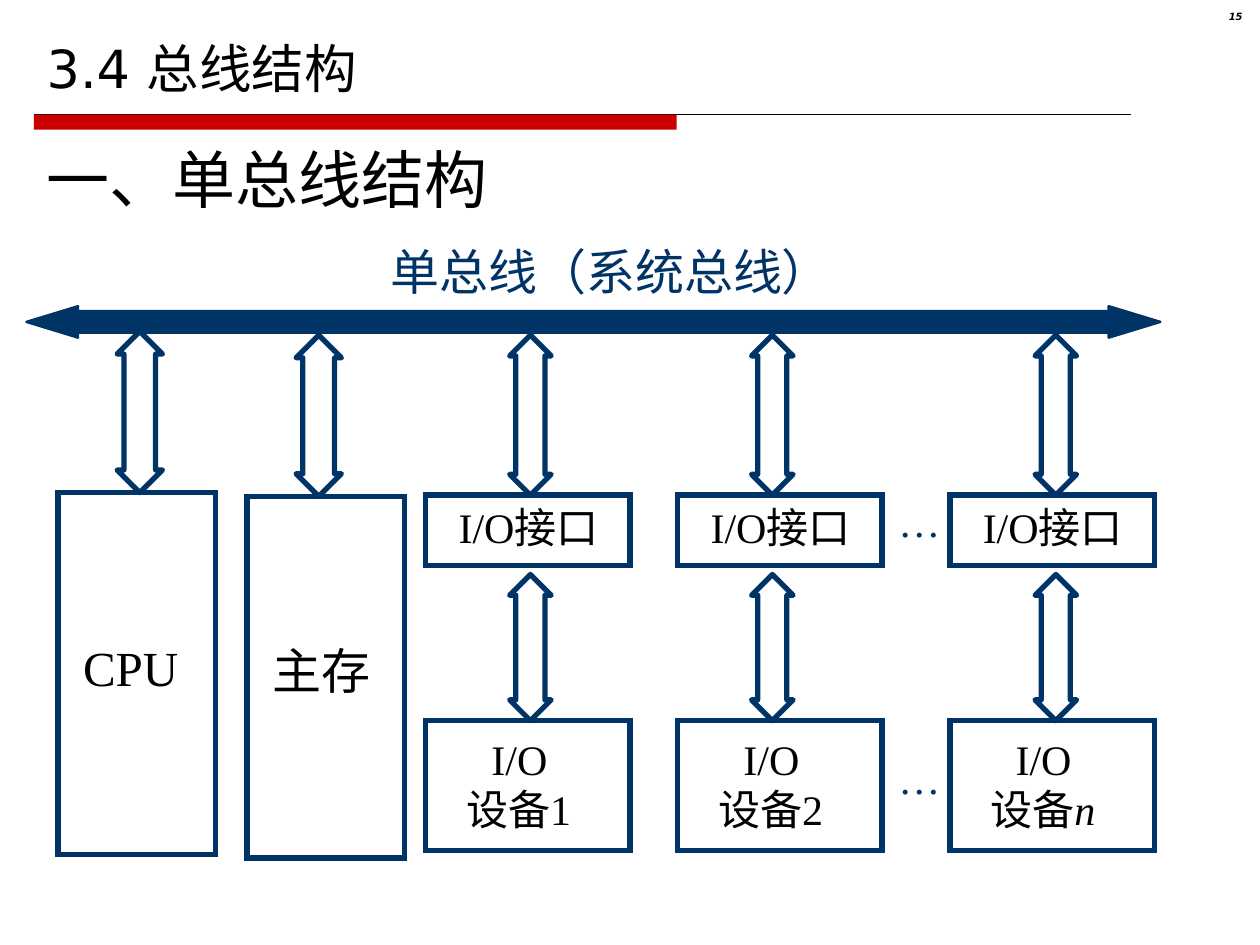
from dataclasses import dataclass

from lxml.etree import SubElement
from pptx import Presentation
from pptx.dml.color import RGBColor as RGB
from pptx.enum.shapes import MSO_CONNECTOR as LINE, MSO_SHAPE as SHAPE
from pptx.enum.text import MSO_ANCHOR as ANCHOR, MSO_AUTO_SIZE as FIT, PP_ALIGN as ALIGN
from pptx.oxml.ns import qn
from pptx.util import Inches, Pt

COLS, ROWS = 100, 75
CELL = Inches(10) // COLS


@dataclass(frozen=True)
class Theme:
    navy: RGB = RGB(0x00, 0x33, 0x66)
    red: RGB = RGB(0xCC, 0x00, 0x00)
    black: RGB = RGB(0x00, 0x00, 0x00)
    sans: str = "DejaVu Sans"
    serif: str = "Times New Roman"
    label: str = "Cabin"
    number: float = 5.7
    small: int = 24
    medium: int = 28
    title: int = 30
    heading: int = 36
    outline: float = 3
    hairline: float = 0.75


T = Theme()


def cells(*lengths):
    """Turn grid lengths into EMU."""
    return [round(n * CELL) for n in lengths]


def set_all(target, values):
    for name, value in values.items():
        setattr(target, name, value)


def set_frame(tf, insets, **values):
    """Insets are left, top, right, bottom in grid cells."""
    sides = ("margin_left", "margin_top", "margin_right", "margin_bottom")
    set_all(tf, {"word_wrap": True, **dict(zip(sides, cells(*insets))), **values})


def write(p, text, size, font=T.serif, color=T.black, indent=0, **values):
    if indent:
        p._p.get_or_add_pPr().set("marL", str(cells(indent)[0]))
    r = p.add_run()
    r.text = text
    set_all(r.font, {"size": Pt(size), "name": font, **values})
    r.font.color.rgb = color


def add_text(s, at, text, size, insets=(1, 0.5, 1, 0.5), frame=None, para=None, **style):
    sp = s.shapes.add_textbox(*cells(*at))
    set_frame(sp.text_frame, insets, **(frame or {}))
    p = sp.text_frame.paragraphs[0]
    set_all(p, para or {})
    write(p, text, size, **style)


def add_solid(s, kind, at, color):
    sp = s.shapes.add_shape(kind, *cells(*at))
    sp.shadow.inherit = False
    sp.fill.solid()
    sp.fill.fore_color.rgb = color
    sp.line.fill.background()
    return sp


def add_outline(s, kind, at):
    sp = s.shapes.add_shape(kind, *cells(*at))
    sp.shadow.inherit = False
    sp.fill.background()
    sp.line.color.rgb = T.navy
    sp.line.width = Pt(T.outline)
    return sp


def add_box(s, at, insets, anchor=ANCHOR.TOP):
    """Add a sharp-cornered box and return its text frame."""
    sp = add_outline(s, SHAPE.RECTANGLE, at)
    SubElement(sp.line._get_or_add_ln(), qn("a:miter"), lim="800000")
    tf = sp.text_frame
    set_frame(tf, insets, vertical_anchor=anchor)
    tf.paragraphs[0].alignment = ALIGN.LEFT
    return tf


def add_link(s, center, top, bottom, width=3.3):
    """Add a hollow vertical double arrow."""
    sp = add_outline(s, SHAPE.UP_DOWN_ARROW, (center - width / 2, top, width, bottom - top))
    sp.adjustments[0], sp.adjustments[1] = 0.5, 0.7


def add_unit(s, text, left, top, center):
    """Add a tall unit that hangs directly on the bus."""
    tf = add_box(s, (left, top, 12.5, 28.7), (2, 0.5, 1, 1.6), ANCHOR.MIDDLE)
    write(tf.paragraphs[0], text, T.medium)
    add_link(s, center, top - 12.8, top, 3.6)


def add_device(s, number, left, center, italic):
    """Add an I/O interface, its device and the links above both."""
    port_top, device_top, width = 39.3, 57.2, 16.2
    port = add_box(s, (left, port_top, width, 5.6), (2.6, 0.5, 0.5, 0.5))
    write(port.paragraphs[0], "I/O接口", T.small)
    device = add_box(s, (left, device_top, width, 10.3), (3.2, 1, 0.5, 0.5))
    write(device.paragraphs[0], "I/O", T.small, indent=2)
    p = device.add_paragraph()
    p.alignment = ALIGN.LEFT
    write(p, "设备", T.small)
    write(p, number, T.small, italic=italic)
    add_link(s, center, port_top - 12.7, port_top)
    add_link(s, center, device_top - 11.6, device_top)


def add_title(s, text):
    sp = s.shapes.title
    set_all(sp, dict(zip(("left", "top", "width", "height"), cells(2.7, 1.3, 94.5, 7.1))))
    set_frame(sp.text_frame, (1, 0.5, 1, 0.5), vertical_anchor=ANCHOR.BOTTOM, auto_size=FIT.NONE)
    p = sp.text_frame.paragraphs[0]
    p.alignment = ALIGN.LEFT
    write(p, text, T.title, T.sans)


def add_title_rule(s):
    left, top = 2.7, 9.1
    rule = s.shapes.add_connector(LINE.STRAIGHT, *cells(left, top, 89.8, top))
    rule.line.color.rgb = T.black
    rule.line.width = Pt(T.hairline)
    SubElement(rule._element.spPr, qn("a:effectLst"))
    add_solid(s, SHAPE.RECTANGLE, (left, top, 51, 1.2), T.red)


def add_bus(s):
    bus = add_solid(s, SHAPE.LEFT_RIGHT_ARROW, (2.1, 24.3, 90, 2.5), T.navy)
    bus.adjustments[0], bus.adjustments[1] = 0.68, 1.64
    bus.line.color.rgb = T.navy
    bus.line.width = Pt(1.39)
    add_text(s, (31, 19.2, 35, 4.7), "单总线（系统总线）", T.medium, (0, 0, 0, 0),
             {"word_wrap": False, "auto_size": FIT.SHAPE_TO_FIT_TEXT},
             font=T.label, color=T.navy)


def main():
    prs = Presentation()
    prs.slide_width, prs.slide_height = cells(COLS, ROWS)
    s = prs.slides.add_slide(prs.slide_layouts[5])

    add_title_rule(s)
    add_title(s, "3.4 总线结构")
    add_text(s, (93.7, 0.5, 5.9, 2.3), "15", T.number, font=T.sans, bold=True, italic=True,
             para={"alignment": ALIGN.RIGHT, "line_spacing": 0.8})
    add_text(s, (2.7, 10.7, 50.2, 7), "一、单总线结构", T.heading,
             frame={"auto_size": FIT.SHAPE_TO_FIT_TEXT})

    add_bus(s)
    for text, left, top, center in (("CPU", 4.6, 39.1, 11.1), ("主存", 19.6, 39.4, 25.3)):
        add_unit(s, text, left, top, center)
    for number, left, center in (("1", 33.8, 42.1), ("2", 53.8, 61.3), ("n", 75.4, 83.8)):
        add_device(s, number, left, center, italic=number == "n")
    for top in (39.3, 59.7):
        add_text(s, (71.3, top, 4.2, 4), "…", T.small, (0, 0, 0, 0),
                 {"auto_size": FIT.SHAPE_TO_FIT_TEXT}, color=T.navy)

    prs.save("out.pptx")


if __name__ == "__main__":
    main()
